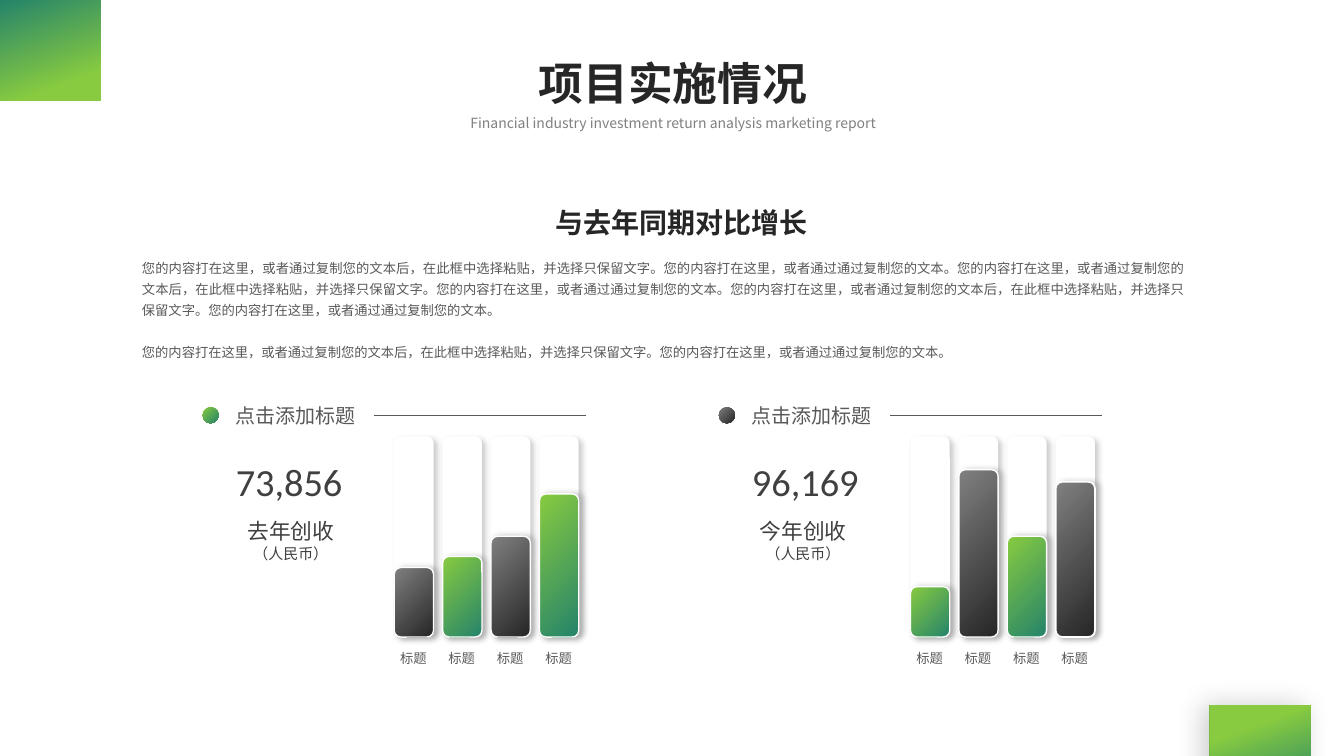
from dataclasses import dataclass

from lxml.etree import SubElement
from pptx import Presentation
from pptx.dml.color import RGBColor
from pptx.enum.shapes import MSO_CONNECTOR as Connector, MSO_SHAPE as Preset
from pptx.enum.text import MSO_ANCHOR as Anchor, MSO_AUTO_SIZE as AutoSize, PP_ALIGN as Align
from pptx.oxml.ns import qn
from pptx.util import Inches, Pt


@dataclass(frozen=True)
class Theme:
    font: str = "Noto Sans CJK SC"
    number_font: str = "Calibri"
    ink: str = "262626"
    strong: str = "404040"
    body: str = "595959"
    muted: str = "808080"
    white: str = "FFFFFF"
    green: tuple = ("88CB40", "25846A")
    gray: tuple = ("808080", "262626")
    corner: tuple = ("25846A", "88CB40")
    title_size: float = 32
    heading_size: float = 20
    number_size: float = 27.4
    caption_size: float = 15.5
    label_size: float = 14.3
    unit_size: float = 10.7
    bracket_size: float = 8.3
    subtitle_size: float = 10
    body_size: float = 9.5


theme = Theme()


def paint(shape, colors, angle=45, stops=(0, 1), line=None, shadow=None):
    """Fill with one colour or a gradient; shadow is colour, opacity, blur, distance, angle."""
    if isinstance(colors, tuple):
        shape.fill.gradient()
        shape.fill.gradient_angle = 360 - angle
        for stop, color, position in zip(shape.fill.gradient_stops, colors, stops):
            stop.color.rgb = RGBColor.from_string(color)
            stop.position = position
    else:
        shape.fill.solid()
        shape.fill.fore_color.rgb = RGBColor.from_string(colors)
    if line:
        shape.line.color.rgb = RGBColor.from_string(theme.white)
        shape.line.width = Pt(line)
    else:
        shape.line.fill.background()
    shape.shadow.inherit = False
    if shadow:
        color, opacity, blur, distance, direction = shadow
        effects = shape.element.spPr.find(qn("a:effectLst"))
        outer = SubElement(effects, qn("a:outerShdw"), blurRad=str(Pt(blur)), dist=str(Pt(distance)),
                           dir=str(direction * 60000), algn="ctr", rotWithShape="0")
        tint = SubElement(outer, qn("a:srgbClr"), val=color)
        SubElement(tint, qn("a:alpha"), val=str(opacity * 1000))


def write(box, text, size, color, align=Align.LEFT, font=theme.font, bold=False, wrap=False):
    frame = box.text_frame
    frame.text = text
    frame.word_wrap = wrap
    frame.auto_size = AutoSize.SHAPE_TO_FIT_TEXT
    frame.vertical_anchor = Anchor.TOP
    for para in frame.paragraphs:
        para.alignment = align
        for span in para.runs:
            span.font.size = Pt(size)
            span.font.bold = bold
            span.font.name = font
            span.font.color.rgb = RGBColor.from_string(color)
            SubElement(span.font._element, qn("a:ea"), typeface=theme.font)
    return frame


deck = Presentation()
deck.slide_width, deck.slide_height = Inches(13.33), Inches(7.5)
page = deck.slides.add_slide(deck.slide_layouts[5])
shapes = page.shapes

# Curved corners, the second one turned by half a circle
curve = [(1.08, 0), (0.74, 0.09), (0.21, 0.37), (0, 0.52)]
steps = 24
arc = []
for step in range(steps + 1):
    t = step / steps
    weights = ((1 - t) ** 3, 3 * t * (1 - t) ** 2, 3 * t * t * (1 - t), t ** 3)
    arc.append([sum(w * point[axis] for w, point in zip(weights, curve)) for axis in (0, 1)])
for turned, stops, direction in ((False, (0, 0.79), 45), (True, (0.09, 0.74), 180)):
    outline = [(13.33 - x, 7.5 - y) if turned else (x, y) for x, y in [(0, 0), *arc]]
    builder = shapes.build_freeform(*outline[0], scale=Inches(1))
    builder.add_line_segments(outline[1:], close=True)
    paint(builder.convert_to_shape(), theme.corner, 250 if turned else 70, stops,
          shadow=("000000", 20, 20, 5, direction))

# Title, subtitle and heading
title = shapes.title
title.left, title.top, title.width, title.height = Inches(5.23), Inches(0.5), Inches(2.89), Inches(0.64)
write(title, "项目实施情况", theme.title_size, theme.ink, Align.CENTER, bold=True)
subtitle = shapes.add_textbox(Inches(3.63), Inches(1.09), Inches(6.09), Inches(0.27))
write(subtitle, "Financial industry investment return analysis marketing report",
      theme.subtitle_size, theme.muted, Align.CENTER, wrap=True)
heading = shapes.add_textbox(Inches(5.42), Inches(2.04), Inches(2.68), Inches(0.34))
frame = write(heading, "与去年同期对比增长", theme.heading_size, theme.ink, Align.CENTER,
              theme.number_font, bold=True, wrap=True)
frame.margin_left = frame.margin_right = frame.margin_top = frame.margin_bottom = 0

# Body text
long_sentence = "您的内容打在这里，或者通过复制您的文本后，在此框中选择粘贴，并选择只保留文字。"
short_sentence = "您的内容打在这里，或者通过通过复制您的文本。"
pair = long_sentence + short_sentence
body = shapes.add_textbox(Inches(1.31), Inches(2.49), Inches(10.54), Inches(1.14))
frame = write(body, pair * 3 + "\n" + pair, theme.body_size, theme.body, Align.JUSTIFY, wrap=True)
for para in frame.paragraphs:
    para.line_spacing = 1.3
frame.paragraphs[1].space_before = Pt(15)

# Two panels: left edge, dot, number, caption, caption left, bars as (height, colours, outline)
green, gray = theme.green, theme.gray
panels = [
    (2.01, green, "73,856", "去年创收", 2.35, [(0.69, gray, 1), (0.8, green, 1), (1, gray, 1), (1.42, green, 1)]),
    (7.13, gray, "96,169", "今年创收", 7.43, [(0.5, green, 1), (1.66, gray, 1), (1, green, 1), (1.54, gray, 1.25)]),
]
bar_width, bar_pitch, track_height, base = 0.39, 0.48, 1.99, 6.32
for left, dot_colors, number, caption, caption_left, bars in panels:
    # Panel heading with dot and rule
    dot = shapes.add_shape(Preset.OVAL, Inches(left), Inches(4.04), Inches(0.16), Inches(0.16))
    paint(dot, dot_colors)
    label = shapes.add_textbox(Inches(left + 0.23), Inches(3.95), Inches(1.4), Inches(0.34))
    write(label, "点击添加标题", theme.label_size, theme.body)
    rule = shapes.add_connector(Connector.STRAIGHT, Inches(left + 1.7), Inches(4.12), Inches(left + 3.8), Inches(4.12))
    rule.line.color.rgb = RGBColor.from_string(theme.body)
    rule.line.width = Pt(0.5)
    SubElement(rule.element.spPr, qn("a:effectLst"))

    # Income figure and caption
    figure = shapes.add_textbox(Inches(left + 0.23), Inches(4.5), Inches(1.27), Inches(0.56))
    write(figure, number, theme.number_size, theme.strong, font=theme.number_font)
    note = shapes.add_textbox(Inches(caption_left), Inches(5.09), Inches(1.07), Inches(0.54))
    frame = write(note, caption + "\n（人民币）", theme.caption_size, theme.strong, Align.CENTER)
    frame.paragraphs[1].runs[0].font.size = Pt(theme.unit_size)

    # Bars on white tracks
    for index, (height, colors, outline_width) in enumerate(bars):
        x = left + 1.9 + index * bar_pitch
        for bar_height, fill, line, direction in (
            (track_height, theme.white, None, 45),
            (height, colors, outline_width, 0),
        ):
            bar = shapes.add_shape(Preset.ROUNDED_RECTANGLE, Inches(x), Inches(base - bar_height),
                                   Inches(bar_width), Inches(bar_height))
            paint(bar, fill, line=line, shadow=(theme.muted, 40, 4, 3, direction))
        tag = shapes.add_textbox(Inches(x - 0.04), Inches(6.4), Inches(0.47), Inches(0.26))
        write(tag, "标题", theme.body_size, theme.body)

deck.save("out.pptx")
